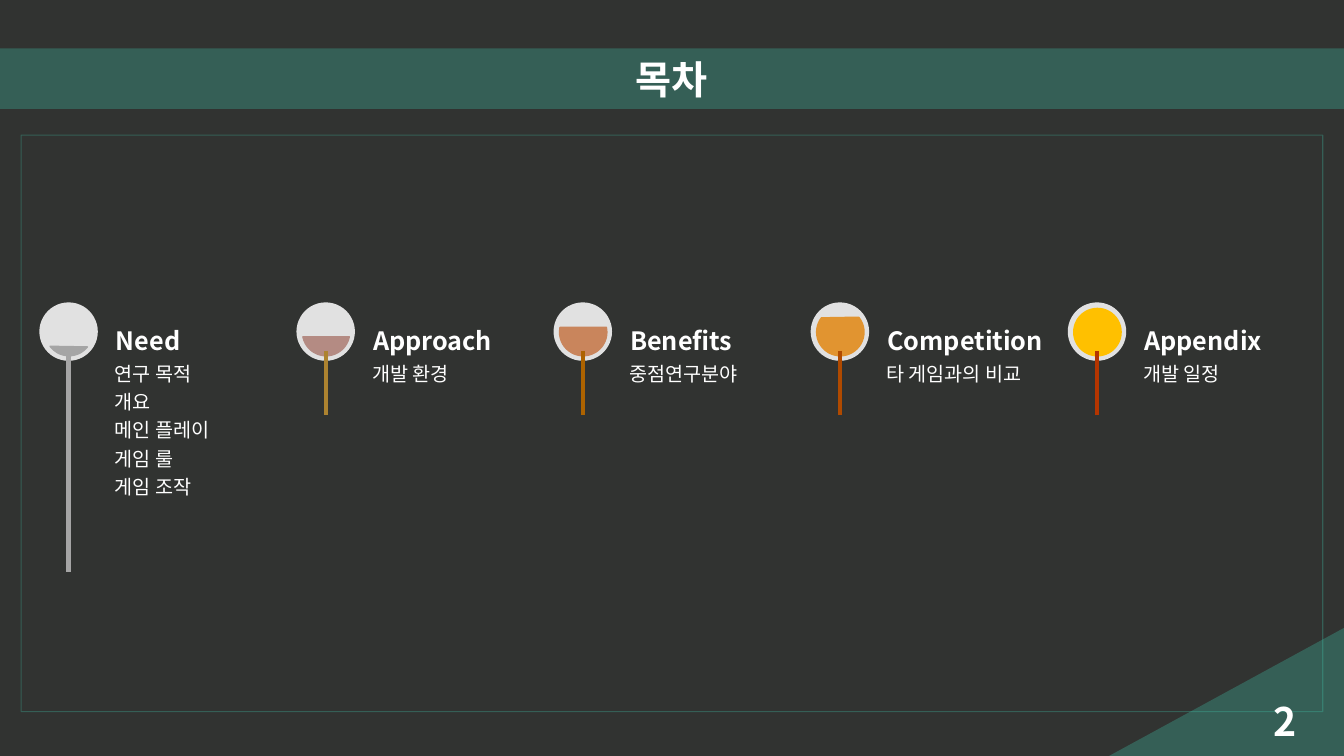
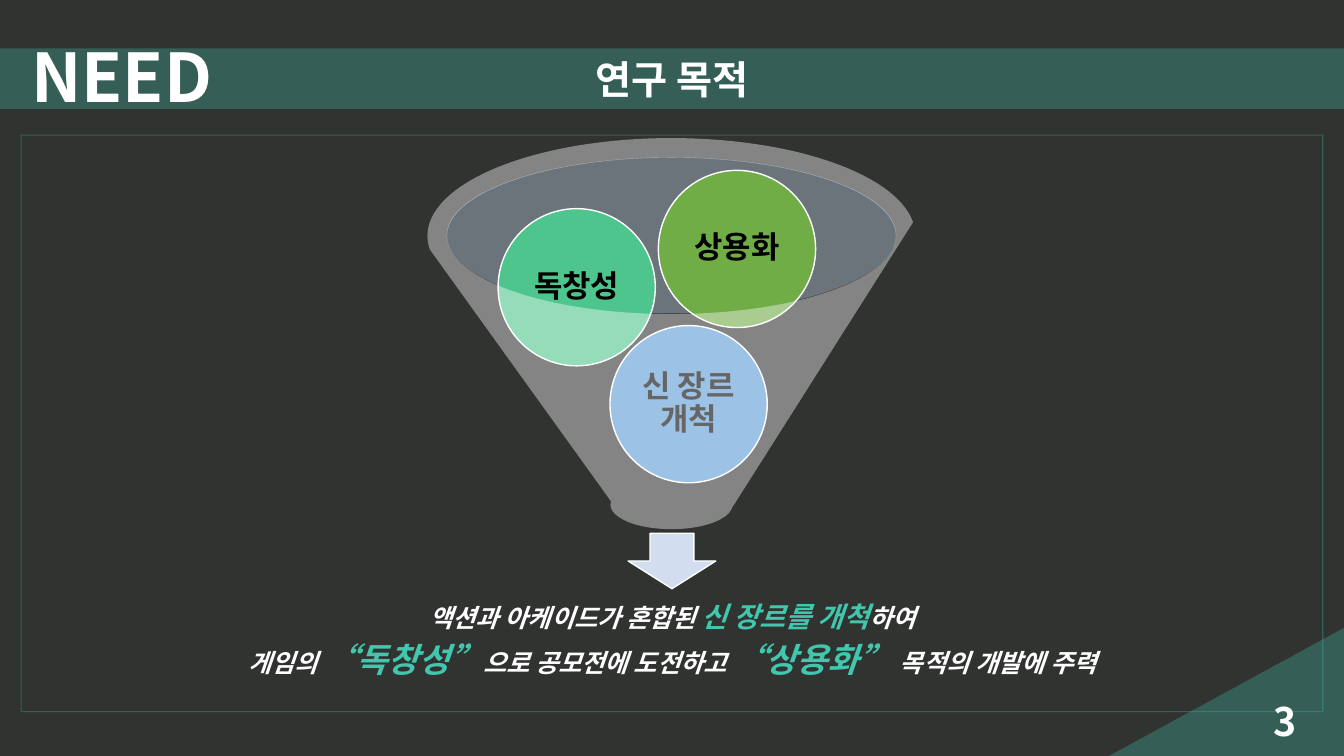
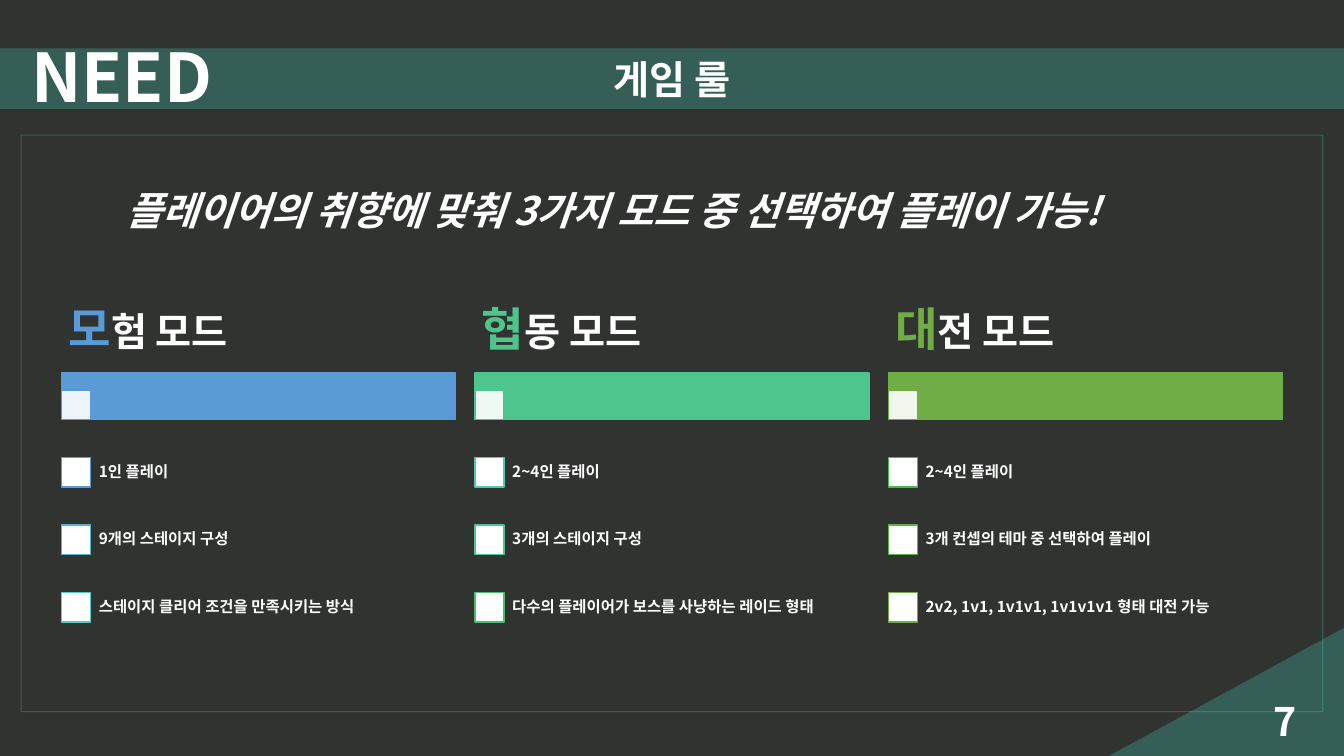
"""Build three slides of a game pitch: contents, purpose and rules."""
import pptx
import pptx.chart.data
import pptx.dml.color
import pptx.enum.shapes
import pptx.enum.text
import pptx.oxml
import pptx.oxml.ns
import pptx.util
from lxml import etree

Inches = pptx.util.Inches
Pt = pptx.util.Pt
qn = pptx.oxml.ns.qn
KIND = pptx.enum.shapes.MSO_SHAPE
ALIGN = pptx.enum.text.PP_ALIGN
ANCHOR = pptx.enum.text.MSO_ANCHOR

FONT = "Noto Sans CJK KR"
WHITE, BLACK, DARK, MINT = "FFFFFF", "000000", "313331", "41C7AD"
BLUE, GREEN, LEAF = "5B9BD5", "4DC58D", "70AD47"
BOLD = {"bold": True}
SLANT = {"bold": True, "italic": True}
TIGHT = {"line": 0.9, "after": 35}

TOPICS = [
    ("Need", ["연구 목적", "개요", "메인 플레이", "게임 룰", "게임 조작"],
     "A5A5A5", (23.32, 85.88), "A5A5A5", 2.19),
    ("Approach", ["개발 환경"], "B48B83", (6.92, 101.08), "AD8330", 0.64),
    ("Benefits", ["중점연구분야"], "C9855C", (209.08, 114.92), "AD6300", 0.64),
    ("Competition", ["타 게임과의 비교"], "E19430", (192.68, 130.12), "B04A00", 0.64),
    ("Appendix", ["개발 일정"], "FFC000", (162, 162), "B43500", 0.64),
]

BALLS = [
    ("신 장르 개척", 6.05, 3.23, BLUE),
    ("독창성", 4.94, 2.07, GREEN),
    ("상용화", 6.53, 1.69, LEAF),
]

GOAL = [
    [("액션과 아케이드가 혼합된 ", 18, WHITE), ("신 장르를 개척", 20, MINT),
     ("하여", 18, WHITE)],
    [("게임의 ", 18, WHITE), ("“독창성”", 24, MINT),
     ("으로 공모전에 도전하고 ", 18, WHITE), ("“상용화” ", 24, MINT),
     ("목적의 개발에 주력", 18, WHITE)],
]

SLOGAN = "플레이어의 취향에 맞춰 3가지 모드 중 선택하여 플레이 가능!"
MODES = [
    ("모", "험 모드", BLUE, [
        ("1인 플레이", BLUE),
        ("9개의 스테이지 구성", "57B4D1"),
        ("스테이지 클리어 조건을 만족시키는 방식", "54CCCD")]),
    ("협", "동 모드", GREEN, [
        ("2~4인 플레이", "51C9AD"),
        ("3개의 스테이지 구성", GREEN),
        ("다수의 플레이어가 보스를 사냥하는 레이드 형태", "4AC06E")]),
    ("대", "전 모드", LEAF, [
        ("2~4인 플레이", "48BB4F"),
        ("3개 컨셉의 테마 중 선택하여 플레이", "59B546"),
        ("2v2, 1v1, 1v1v1, 1v1v1v1 형태 대전 가능", LEAF)]),
]


def paint(fill, tone, alpha=100):
    """Give a fill a solid colour, with its opacity in percent."""
    fill.solid()
    fill.fore_color.rgb = pptx.dml.color.RGBColor.from_string(tone)
    if alpha < 100:
        node = fill.fore_color._xFill[0]
        etree.SubElement(node, qn("a:alpha")).set("val", str(alpha * 1000))


def draw(slide, kind, box, fill=None, line=None, alpha=100, width=1, fade=100):
    """Add a preset shape."""
    shape = slide.shapes.add_shape(kind, *map(Inches, box))
    shape.shadow.inherit = False
    if fill:
        paint(shape.fill, fill, alpha)
    else:
        shape.fill.background()
    if line:
        paint(shape.line.fill, line, fade)
        shape.line.width = Pt(width)
    else:
        shape.line.fill.background()
    return shape


def write(shape, paras, style, align=ALIGN.LEFT, anchor=ANCHOR.TOP,
          pad=(0.1, 0.05), line=None, after=0):
    """Fill a shape with paragraphs of (text, size, colour) runs."""
    frame = shape.text_frame
    across, down = map(Inches, pad)
    form = {"word_wrap": True, "vertical_anchor": anchor,
            "margin_left": across, "margin_right": across,
            "margin_top": down, "margin_bottom": down}
    for name, value in form.items():
        setattr(frame, name, value)
    for rank, runs in enumerate(paras):
        para = frame.add_paragraph() if rank else frame.paragraphs[0]
        for name, value in {"alignment": align, "line_spacing": line,
                            "space_after": Pt(0)}.items():
            setattr(para, name, value)
        if after:
            gap = para._p.pPr.find(qn("a:spcAft"))
            gap.remove(gap[0])
            etree.SubElement(gap, qn("a:spcPct")).set("val", str(after * 1000))
        for text, size, tone in runs:
            run = para.add_run()
            run.text = text
            look = {"name": FONT, "size": Pt(size), **style}
            for name, value in look.items():
                setattr(run.font, name, value)
            paint(run.font.fill, tone)
            east = etree.SubElement(run._r.get_or_add_rPr(), qn("a:ea"))
            east.set("typeface", FONT)


def label(slide, box, paras, style, **form):
    """Add a text box."""
    write(slide.shapes.add_textbox(*map(Inches, box)), paras, style, **form)


def stem(slide, x, top, long, tone):
    """Add a thick upright line."""
    ends = map(Inches, (x, top, x, top + long))
    bar = slide.shapes.add_connector(pptx.enum.shapes.MSO_CONNECTOR.STRAIGHT, *ends)
    paint(bar.line.fill, tone)
    bar.line.width = Pt(3)
    etree.SubElement(bar._element.spPr, qn("a:effectLst"))


def begin(deck, title, page, part=None):
    """Add a slide with the shared frame, band, corner and page number."""
    slide = deck.slides.add_slide(deck.slide_layouts[6])
    paint(slide.background.fill, DARK)
    draw(slide, KIND.RECTANGLE, (0.21, 1.34, 12.91, 5.72),
         line=MINT, width=0.75, fade=30)
    band = draw(slide, KIND.RECTANGLE, (0, 0.48, 13.33, 0.6), MINT, alpha=30)
    write(band, [[(title, 28, WHITE)]], BOLD, ALIGN.CENTER, ANCHOR.MIDDLE)
    wedge = draw(slide, KIND.RIGHT_TRIANGLE, (11, 6.23, 2.33, 1.27), MINT, alpha=30)
    wedge._element.spPr.xfrm.set("flipH", "1")
    label(slide, (9.96, 6.95, 3, 0.4), [[(str(page), 28, WHITE)]], BOLD,
          align=ALIGN.RIGHT, anchor=ANCHOR.MIDDLE)
    if part:
        label(slide, (0.21, 0.3, 2.33, 0.91), [[(part, 48, WHITE)]], BOLD)
    return slide


def list_topics(deck):
    """Build the contents slide."""
    slide = begin(deck, "목차", 2)
    for rank, (name, items, tone, cut, ink, long) in enumerate(TOPICS):
        left = 0.39 + 2.55 * rank
        draw(slide, KIND.OVAL, (left, 3, 0.58, 0.58), "E1E1E1")
        chord = draw(slide, KIND.CHORD, (left + 0.06, 3.06, 0.47, 0.47), tone, tone)
        for spot, angle in enumerate(cut):
            chord.adjustments[spot] = angle
        label(slide, (left + 0.71, 3.58, 1.72, 2.45),
              [[(item, 14, WHITE)] for item in items], {}, pad=(0.04, 0.04), **TIGHT)
        label(slide, (left + 0.71, 3, 1.72, 0.58), [[(name, 18, WHITE)]], BOLD,
              anchor=ANCHOR.BOTTOM, pad=(0.05, 0.05), **TIGHT)
        stem(slide, left + 0.29, 3.48, long, ink)


def show_goal(deck):
    """Build the funnel slide."""
    slide = begin(deck, "연구 목적", 3, "NEED")
    mid = {"align": ALIGN.CENTER, "anchor": ANCHOR.MIDDLE, **TIGHT}
    draw(slide, KIND.OVAL, (4.43, 1.56, 4.46, 1.55), "C4D5EB", alpha=40)
    draw(slide, KIND.DOWN_ARROW, (6.23, 5.29, 0.87, 0.55), "D2DEEF", WHITE)
    label(slide, (2.01, 5.84, 9.32, 1.04), GOAL, SLANT, pad=(0.14, 0.14), **mid)
    for text, left, top, tone in BALLS:
        draw(slide, KIND.OVAL, (left, top, 1.56, 1.56), tone, WHITE)
        label(slide, (left + 0.23, top + 0.23, 1.1, 1.1), [[(text, 22, BLACK)]],
              BOLD, pad=(0.03, 0.03), **mid)
    draw(slide, KIND.FUNNEL, (4.24, 1.37, 4.84, 3.88), WHITE, alpha=40)


def show_modes(deck):
    """Build the slide of three game modes."""
    slide = begin(deck, "게임 룰", 7, "NEED")
    mid = {"anchor": ANCHOR.MIDDLE, **TIGHT}
    label(slide, (1.16, 1.6, 11.01, 1.03), [[(SLOGAN, 28, WHITE)]], SLANT, **mid)
    for col, (first, rest, tone, rules) in enumerate(MODES):
        left = 0.61 + 4.1 * col
        draw(slide, KIND.RECTANGLE, (left, 3.7, 3.91, 0.46), tone, tone)
        draw(slide, KIND.RECTANGLE, (left, 3.87, 0.29, 0.29), WHITE, tone, 90)
        label(slide, (left, 2.87, 3.91, 0.83),
              [[(first, 33, tone), (rest, 28, WHITE)]], BOLD, pad=(0.07, 0.05), **mid)
        for row, (text, edge) in enumerate(rules):
            top = 4.35 + 0.67 * row
            draw(slide, KIND.RECTANGLE, (left, top + 0.19, 0.29, 0.29), WHITE, edge)
            label(slide, (left + 0.28, top, 3.63, 0.67), [[(text, 11, WHITE)]],
                  BOLD, pad=(0.09, 0.09), **mid)


def main():
    """Build and save the deck."""
    deck = pptx.Presentation()
    deck.slide_width, deck.slide_height = Inches(13.33), Inches(7.5)
    for build in (list_topics, show_goal, show_modes):
        build(deck)
    deck.save("out.pptx")


if __name__ == "__main__":
    main()
